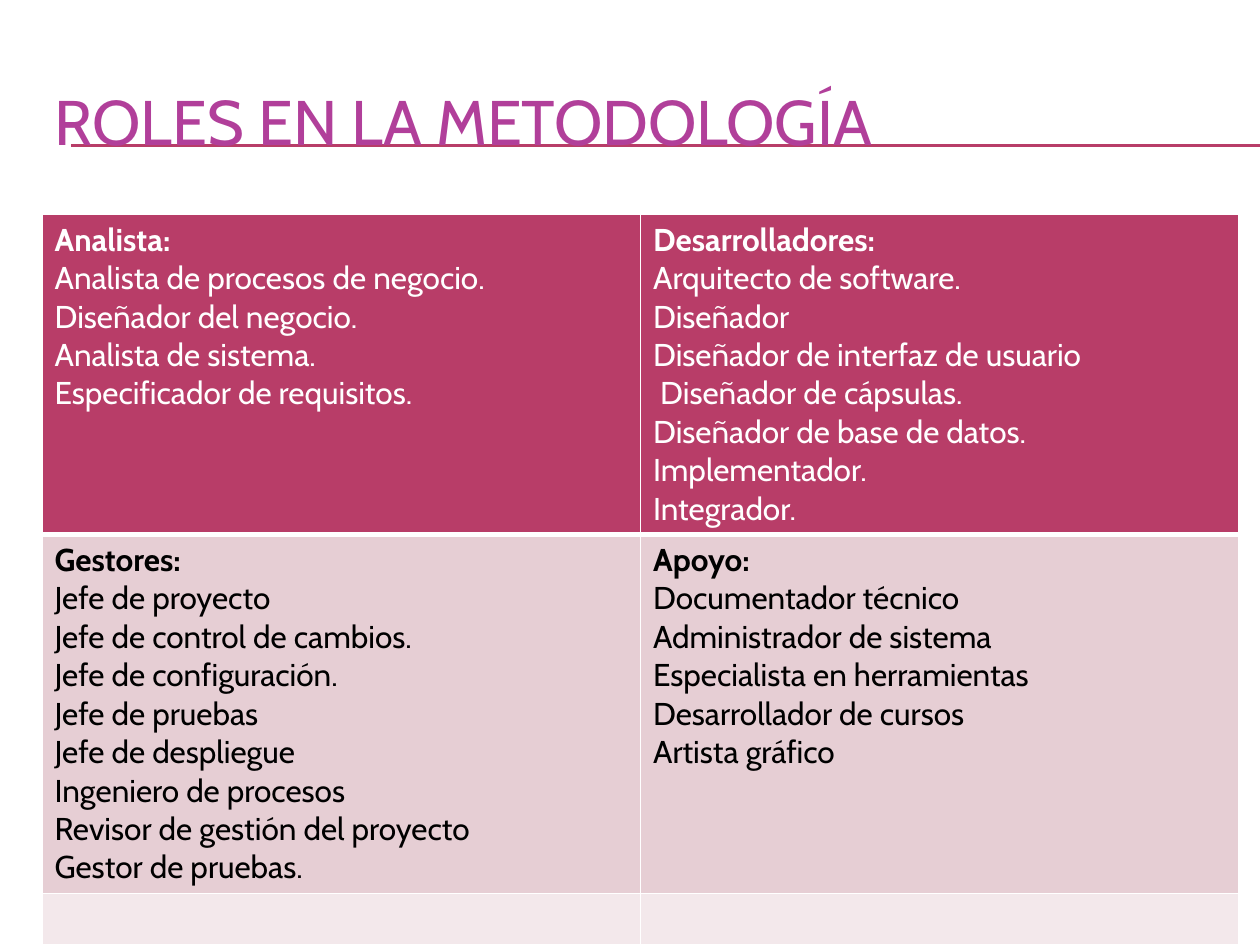
from lxml import etree
from pptx import Presentation
from pptx import util as u
from pptx.dml import color
from pptx.enum import shapes, text
from pptx.oxml import ns

WHITE, BLACK = "FFFFFF", "000000"
ROSE, PALE, PALER, PURPLE = "B83D68", "E6CED4", "F3E8EB", "B13F9A"

# Each cell: heading, then its roles
ROLES = [
    [
        ["Analista:", "Analista de procesos de negocio.", "Diseñador del negocio.",
         "Analista de sistema.", "Especificador de requisitos."],
        ["Desarrolladores:", "Arquitecto de software.", "Diseñador ",
         "Diseñador de interfaz de usuario", " Diseñador de cápsulas.",
         "Diseñador de base de datos.", "Implementador.", "Integrador."],
    ],
    [
        ["Gestores:", "Jefe de proyecto", "Jefe de control de cambios.",
         "Jefe de configuración.", "Jefe de pruebas", "Jefe de despliegue",
         "Ingeniero de procesos", "Revisor de gestión del proyecto", "Gestor de pruebas."],
        ["Apoyo:", "Documentador técnico", "Administrador de sistema",
         "Especialista en herramientas", "Desarrollador de cursos", "Artista gráfico"],
    ],
    [[], []],
]
# Each row: height, fill, text colour, top border, bottom border
ROW_STYLES = [(182.5, ROSE, WHITE, 1, 3), (204.5, PALE, BLACK, 3, 1), (28.5, PALER, BLACK, 1, 1)]


def rgb(value):
    return color.RGBColor.from_string(value)


class SlideBuilder:
    font_name = "Cabin"

    def __init__(self, slide):
        self.slide = slide

    def format_font(self, font, size, hex_color, bold=False):
        font.name, font.size, font.bold = self.font_name, u.Pt(size), bold
        font.color.rgb = rgb(hex_color)

    def title(self, words, left, top, width, height):
        box = self.slide.shapes.title
        box.left, box.top, box.width, box.height = map(u.Pt, (left, top, width, height))
        frame = box.text_frame
        frame.text = words
        frame.word_wrap = True
        frame.vertical_anchor = text.MSO_ANCHOR.MIDDLE
        para = frame.paragraphs[0]
        para.alignment = text.PP_ALIGN.LEFT
        self.format_font(para.font, 36, PURPLE)

    def rule(self, left, right, y):
        line = self.slide.shapes.add_connector(
            shapes.MSO_CONNECTOR.STRAIGHT, u.Pt(left), u.Pt(y), u.Pt(right), u.Pt(y))
        line.line.color.rgb = rgb(ROSE)
        line.line.width = u.Pt(0.75)
        etree.SubElement(line._element.spPr, ns.qn("a:effectLst"))
        # Keep the rule behind the title
        self.slide.shapes.title._element.addprevious(line._element)

    def borders(self, cell, **widths):
        properties = cell._tc.get_or_add_tcPr()
        for position, (side, width) in enumerate(widths.items()):
            edge = etree.Element(ns.qn(f"a:{side}"), w=str(u.Pt(width)))
            fill = etree.SubElement(edge, ns.qn("a:solidFill"))
            etree.SubElement(fill, ns.qn("a:srgbClr"), val=WHITE)
            properties.insert(position, edge)

    def cell(self, cell, lines, fill, hex_color, top, bottom):
        cell.fill.solid()
        cell.fill.fore_color.rgb = rgb(fill)
        self.borders(cell, lnL=1, lnR=1, lnT=top, lnB=bottom)
        cell.text = "\n".join(lines)
        for index, para in enumerate(cell.text_frame.paragraphs):
            self.format_font(para.font, 18, hex_color, bold=index == 0)

    def table(self, rows, styles, left, top, width):
        height = sum(style[0] for style in styles)
        table = self.slide.shapes.add_table(
            len(rows), len(rows[0]), *map(u.Pt, (left, top, width, height))).table
        for r, (row, (row_height, *look)) in enumerate(zip(rows, styles)):
            table.rows[r].height = u.Pt(row_height)
            for c, lines in enumerate(row):
                self.cell(table.cell(r, c), lines, *look)


def main():
    deck = Presentation()
    deck.slide_width, deck.slide_height = u.Pt(720), u.Pt(540)
    page = SlideBuilder(deck.slides.add_slide(deck.slide_layouts[5]))

    # Title and double rule
    page.title("ROLES EN LA METODOLOGÍA", 24, 36, 684, 66)
    for y in (82.8, 83.4):
        page.rule(40.5, 720, y)

    # Roles by group
    page.table(ROLES, ROW_STYLES, 24, 122.5, 684)

    deck.save("out.pptx")


if __name__ == "__main__":
    main()
